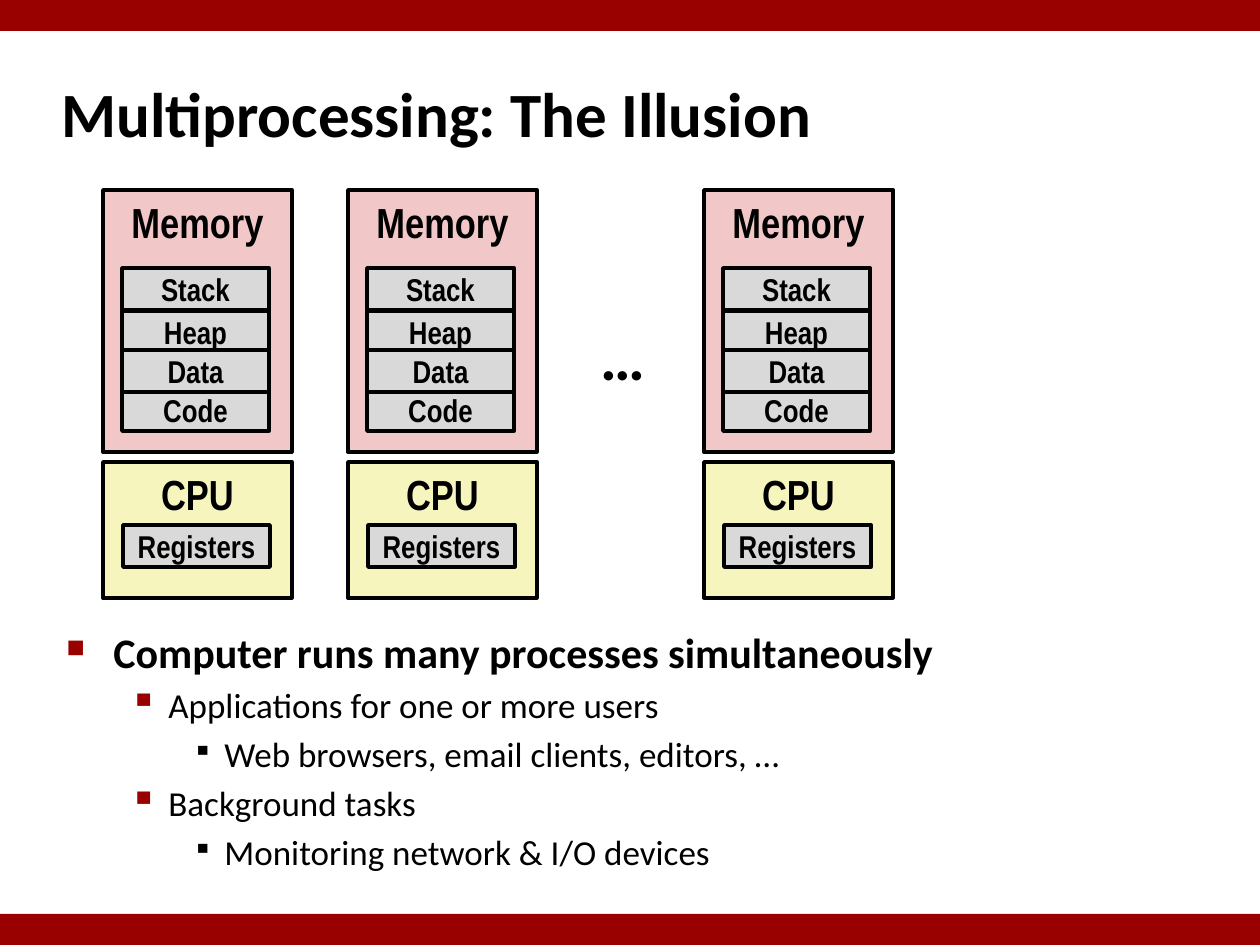
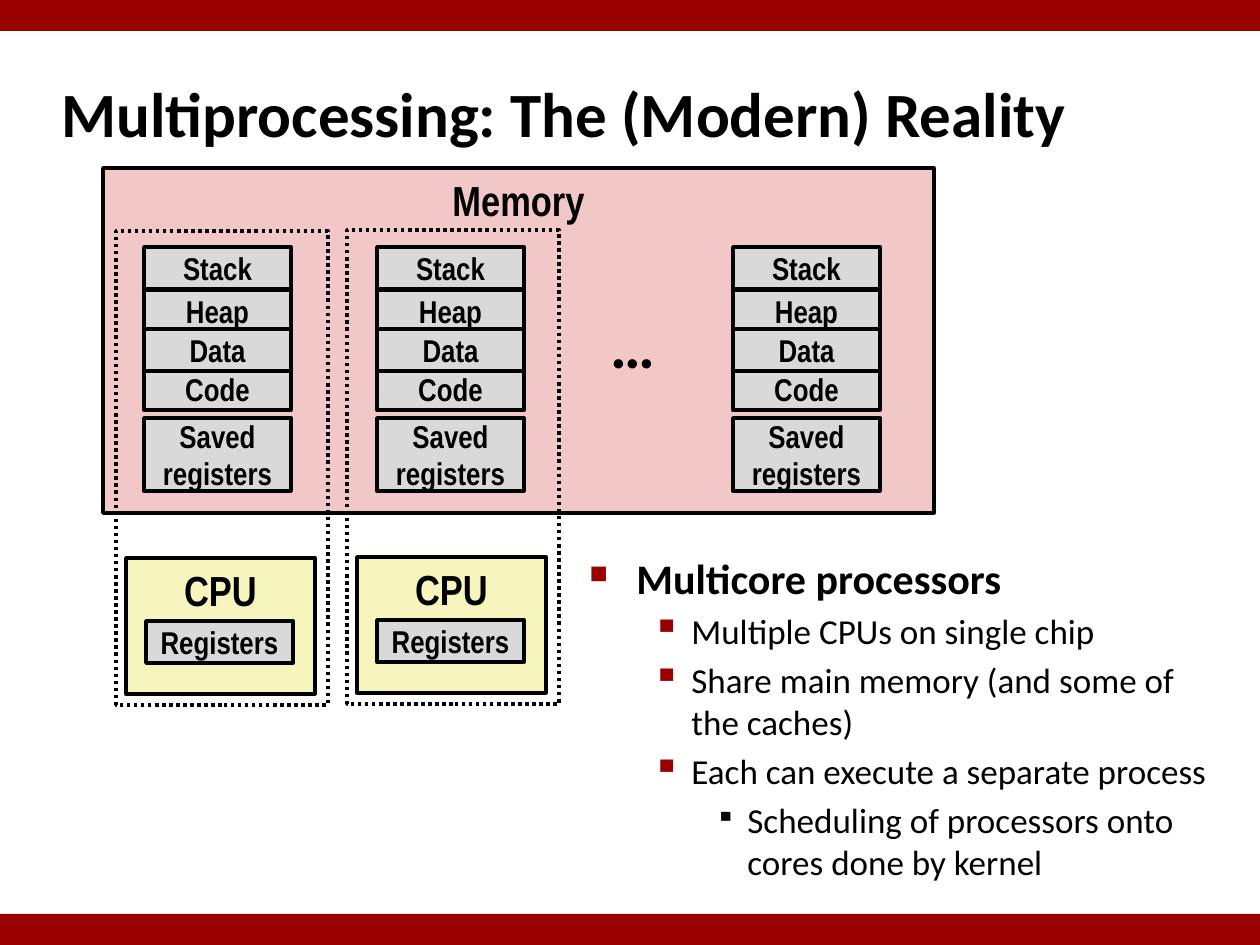
import pptx
import pptx.dml.color
import pptx.enum.dml
import pptx.enum.shapes
import pptx.enum.text
import pptx.util
from lxml import etree

RGB = pptx.dml.color.RGBColor
ANCHOR = pptx.enum.text.MSO_ANCHOR
DRAWING_NS = "http://schemas.openxmlformats.org/drawingml/2006/main"

# Shared look
PX = 914400 / 126
SLIDE_W, SLIDE_H, BAND_H = 1260, 945, 31
CRIMSON = RGB(0x99, 0x00, 0x00)
PINK = RGB(0xF1, 0xC7, 0xC7)
YELLOW = RGB(0xF6, 0xF5, 0xBD)
GRAY = RGB(0xD9, 0xD9, 0xD9)
BLACK = RGB(0x00, 0x00, 0x00)
TEXT_FONT = "Calibri"
DIAGRAM_FONT = "Arial Narrow"

# Diagram measures in px
CELL_W, CELL_H = 147, 42
UNIT_W, CPU_H = 189, 136
# Data is laid over the edges of Heap and Code, so it comes last
SEGMENTS = [("Stack", 0), ("Heap", 43), ("Code", 121), ("Data", 82)]

# Per level: left margin px, hanging px, size pt, bold, bullet, bullet %, bullet colour
LEVELS = [
    (47, 47, 24, True, "■", 60, CRIMSON),
    (102, 39, 20, False, "▪", 110, CRIMSON),
    (158, 32, 20, False, "▪", 80, BLACK),
]


def emu(px):
    return pptx.util.Emu(round(px * PX))


def style_runs(paragraph, font, size, bold=True):
    for run in paragraph.runs:
        run.font.name = font
        run.font.size = pptx.util.Pt(size)
        run.font.bold = bold
        run.font.color.rgb = BLACK


def add_rect(slide, x, y, w, h, fill=None, outlined=True):
    rect = slide.shapes.add_shape(
        pptx.enum.shapes.MSO_SHAPE.RECTANGLE, emu(x), emu(y), emu(w), emu(h))
    rect.shadow.inherit = False
    if fill is None:
        rect.fill.background()
    else:
        rect.fill.solid()
        rect.fill.fore_color.rgb = fill
    if outlined:
        rect.line.color.rgb = BLACK
        rect.line.width = pptx.util.Pt(2)
    else:
        rect.line.fill.background()
    return rect


def add_labeled_rect(slide, label, x, y, w, h, fill, size, anchor):
    frame = add_rect(slide, x, y, w, h, fill).text_frame
    frame.text = label
    frame.word_wrap = True
    frame.vertical_anchor = anchor
    frame.paragraphs[0].alignment = pptx.enum.text.PP_ALIGN.CENTER
    style_runs(frame.paragraphs[0], DIAGRAM_FONT, size)


def add_unit(slide, label, x, y, w, h, fill):
    add_labeled_rect(slide, label, x, y, w, h, fill, 24, ANCHOR.TOP)


def add_cell(slide, label, x, y, h=CELL_H):
    add_labeled_rect(slide, label, x, y, CELL_W, h, GRAY, 18, ANCHOR.MIDDLE)


def add_cpu(slide, x, y):
    add_unit(slide, "CPU", x, y, UNIT_W, CPU_H, YELLOW)
    add_cell(slide, "Registers", x + 20, y + 63)


def add_segments(slide, x, y):
    for label, offset in SEGMENTS:
        add_cell(slide, label, x, y + offset)


def add_text(slide, text, x, y, w, h, wrap=True, anchor=ANCHOR.TOP):
    frame = slide.shapes.add_textbox(emu(x), emu(y), emu(w), emu(h)).text_frame
    frame.text = text
    frame.word_wrap = wrap
    frame.vertical_anchor = anchor
    style_runs(frame.paragraphs[0], TEXT_FONT, 36)
    return frame


def add_ellipsis(slide, x, y):
    add_text(slide, "…", x, y, 71, 89, wrap=False)


def add_bullet(paragraph, margin, hanging, symbol, percent, color):
    props = paragraph._p.get_or_add_pPr()
    props.set("marL", str(emu(margin)))
    props.set("indent", str(-emu(hanging)))

    def child(parent, tag, **attributes):
        return etree.SubElement(parent, f"{{{DRAWING_NS}}}{tag}", **attributes)

    child(child(props, "buClr"), "srgbClr", val=str(color))
    child(props, "buSzPct", val=str(percent * 1000))
    child(props, "buChar", char=symbol)


def add_outline(slide, items, x, y, w, h):
    frame = add_text(slide, "", x, y, w, h)
    for index, (level, text) in enumerate(items):
        paragraph = frame.add_paragraph() if index else frame.paragraphs[0]
        margin, hanging, size, bold, symbol, percent, color = LEVELS[level]
        paragraph.text = text
        paragraph.level = level
        add_bullet(paragraph, margin, hanging, symbol, percent, color)
        if index:
            paragraph.space_before = pptx.util.Pt(size * 0.2)
        style_runs(paragraph, TEXT_FONT, size, bold)


def add_titled_slide(deck, title):
    slide = deck.slides.add_slide(deck.slide_layouts[6])
    for band_y in (0, SLIDE_H - BAND_H):
        add_rect(slide, 0, band_y, SLIDE_W, BAND_H, CRIMSON, outlined=False)
    add_text(slide, title, 49, 60, 1169, 105, anchor=ANCHOR.MIDDLE)
    return slide


def build_illusion(deck):
    slide = add_titled_slide(deck, "Multiprocessing: The Illusion")
    # Each process seems to own a memory and a CPU
    for process_x in (103, 348, 704):
        add_cpu(slide, process_x, 462)
        add_unit(slide, "Memory", process_x, 190, UNIT_W, 262, PINK)
        add_segments(slide, process_x + 19, 268)
    add_ellipsis(slide, 588, 311)
    add_outline(slide, [
        (0, "Computer runs many processes simultaneously"),
        (1, "Applications for one or more users"),
        (2, "Web browsers, email clients, editors, …"),
        (1, "Background tasks"),
        (2, "Monitoring network & I/O devices"),
    ], 54, 620, 1089, 272)


def build_reality(deck):
    slide = add_titled_slide(deck, "Multiprocessing: The (Modern) Reality")
    # One memory shared by all processes
    add_unit(slide, "Memory", 103, 168, 831, 345, PINK)
    for process_x in (144, 377, 733):
        add_segments(slide, process_x, 247)
        add_cell(slide, "Saved registers", process_x, 418, 73)
    add_ellipsis(slide, 598, 299)
    # Each core with the process it is running
    for core_x, core_y in ((116, 231), (347, 230)):
        add_cpu(slide, core_x + 10, core_y + 327)
        running = add_rect(slide, core_x, core_y, 212, 474)
        running.line.dash_style = pptx.enum.dml.MSO_LINE.ROUND_DOT
    add_outline(slide, [
        (0, "Multicore processors"),
        (1, "Multiple CPUs on single chip"),
        (1, "Share main memory (and some of the caches)"),
        (1, "Each can execute a separate process"),
        (2, "Scheduling of processors onto cores done by kernel"),
    ], 577, 546, 651, 368)


def main():
    deck = pptx.Presentation()
    deck.slide_width, deck.slide_height = emu(SLIDE_W), emu(SLIDE_H)
    build_illusion(deck)
    build_reality(deck)
    deck.save("out.pptx")


if __name__ == "__main__":
    main()
